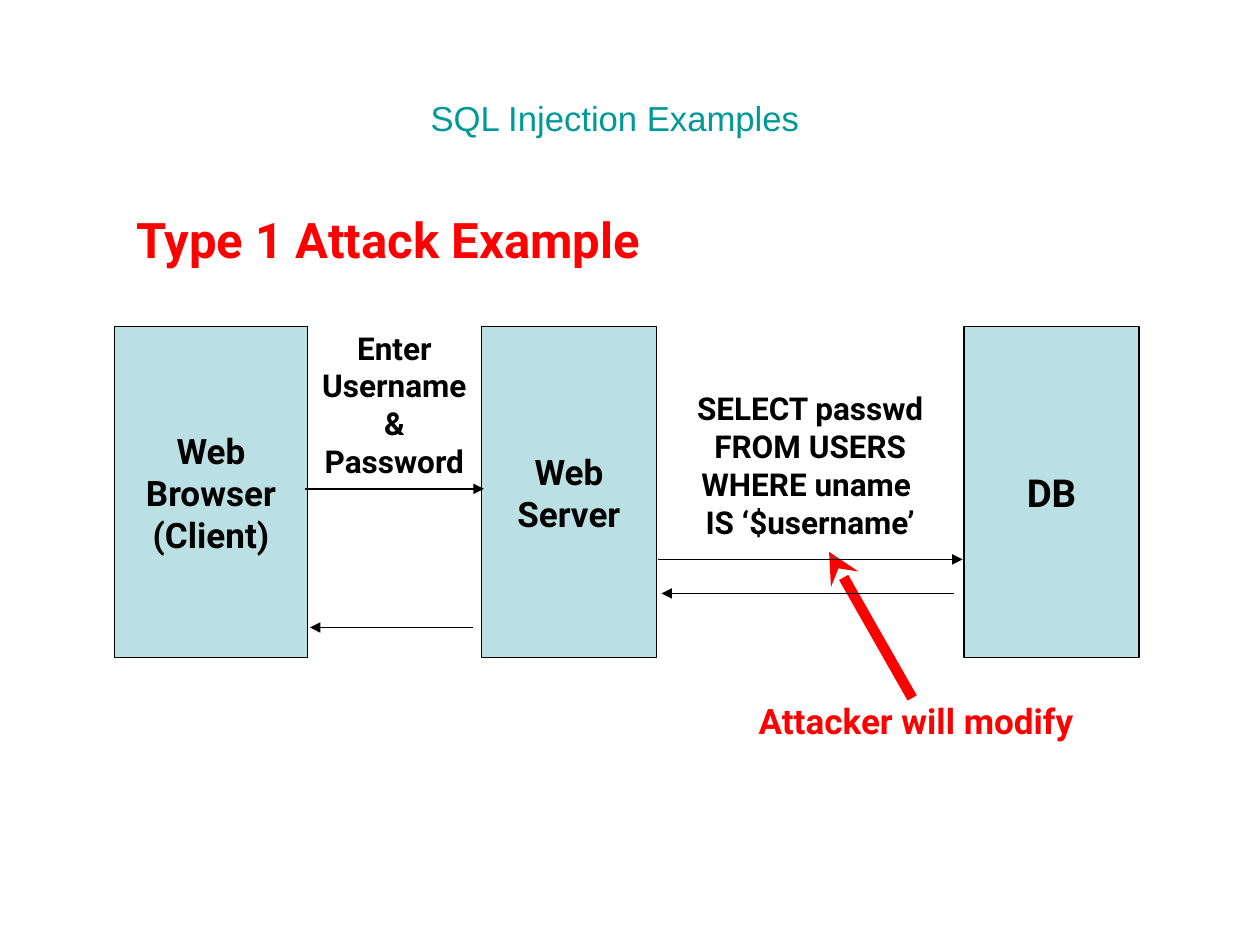
import pptx
import pptx.util
import pptx.dml.color
import pptx.enum.shapes
import pptx.enum.text
import pptx.oxml
import pptx.oxml.ns

COLS, ROWS = 100, 75
UNIT = 0.1
BLACK, RED, TEAL, PALE = "000000", "FF0000", "009999", "BBE0E3"


def grid(n):
    """Turn a number of grid columns or rows into a length."""
    return pptx.util.Inches(n * UNIT)


def rgb(value):
    """Turn a hex string into a colour."""
    return pptx.dml.color.RGBColor.from_string(value)


def write(sp, text, size, color=BLACK, font="Roboto", bold=True, wrap=False, middle=False):
    """Fill a shape with centred text in one style."""
    tf = sp.text_frame
    tf.text = text
    tf.word_wrap = wrap
    anchor = pptx.enum.text.MSO_ANCHOR
    tf.vertical_anchor = anchor.MIDDLE if middle else anchor.TOP
    for p in tf.paragraphs:
        p.alignment = pptx.enum.text.PP_ALIGN.CENTER
        for r in p.runs:
            r.font.size = pptx.util.Pt(size)
            r.font.name = font
            r.font.bold = bold
            r.font.color.rgb = rgb(color)
    return tf


def label(s, box, text, size, **style):
    """Add a text box at a grid box."""
    return write(s.shapes.add_textbox(*map(grid, box)), text, size, **style)


def node(s, box, text, size):
    """Add one outlined system block."""
    sp = s.shapes.add_shape(pptx.enum.shapes.MSO_SHAPE.RECTANGLE, *map(grid, box))
    sp.shadow.inherit = False
    sp.fill.solid()
    sp.fill.fore_color.rgb = rgb(PALE)
    sp.line.color.rgb = rgb(BLACK)
    sp.line.width = pptx.util.Pt(0.75)
    write(sp, text, size, middle=True)


def arrow(s, start, end, color=BLACK, width=0.75, head="triangle"):
    """Add a straight arrow that points at its end."""
    kind = pptx.enum.shapes.MSO_CONNECTOR.STRAIGHT
    sp = s.shapes.add_connector(kind, *map(grid, (*start, *end)))
    sp.line.color.rgb = rgb(color)
    sp.line.width = pptx.util.Pt(width)
    qn = pptx.oxml.ns.qn
    tip = sp.line._get_or_add_ln().makeelement(qn("a:tailEnd"), {"type": head})
    sp.line._get_or_add_ln().append(tip)
    props = sp._element.spPr
    props.append(props.makeelement(qn("a:effectLst"), {}))


def heading(s, x, y, w):
    """Place the slide title and the topic line below it."""
    tf = label(s, (x, y, w, 4.7), "SQL Injection Examples", 19.8, color=TEAL,
               font="Arial", bold=False, wrap=True, middle=True)
    tf.paragraphs[0].line_spacing = 0.8
    label(s, (x + 0.4, y + 8.8, 45.8, 5.7), "Type 1 Attack Example", 28, color=RED)


def request_flow(s, x, y, h):
    """Place the three systems, their messages and the point of attack."""
    for dx, w, text, size in (
        (29.1, 13.9, "Web\nServer", 20),
        (0, 15.3, "Web\nBrowser\v(Client)", 20),
        (67.4, 13.9, "DB", 22),
    ):
        node(s, (x + dx, y, w, h), text, size)
    label(s, (x + 14.8, y - 0.3, 14.8, 13), "Enter\nUsername\n&\nPassword", 18)
    label(s, (x + 44.8, y + 4.5, 20.8, 13),
          "SELECT passwd\nFROM USERS\nWHERE uname \vIS ‘$username’", 18)
    arrow(s, (x + 63.3, y + 29.5), (x + 56.7, y + 17.9), RED, 6, "stealth")
    label(s, (x + 48.5, y + 29.1, 30.2, 4.4), "Attacker will modify", 20, color=RED)
    for start, end, dy in (
        (15.1, 29.3, 12.9),
        (28.4, 15.5, 23.9),
        (43.1, 67.3, 18.5),
        (66.6, 43.4, 21.2),
    ):
        arrow(s, (x + start, y + dy), (x + end, y + dy))


def main():
    """Build the slide and save it."""
    prs = pptx.Presentation()
    prs.slide_width, prs.slide_height = grid(COLS), grid(ROWS)
    s = prs.slides.add_slide(prs.slide_layouts[6])
    heading(s, 7.5, 7.3, 82.6)
    request_flow(s, 9.1, 25.9, 26.3)
    prs.save("out.pptx")


if __name__ == "__main__":
    main()
